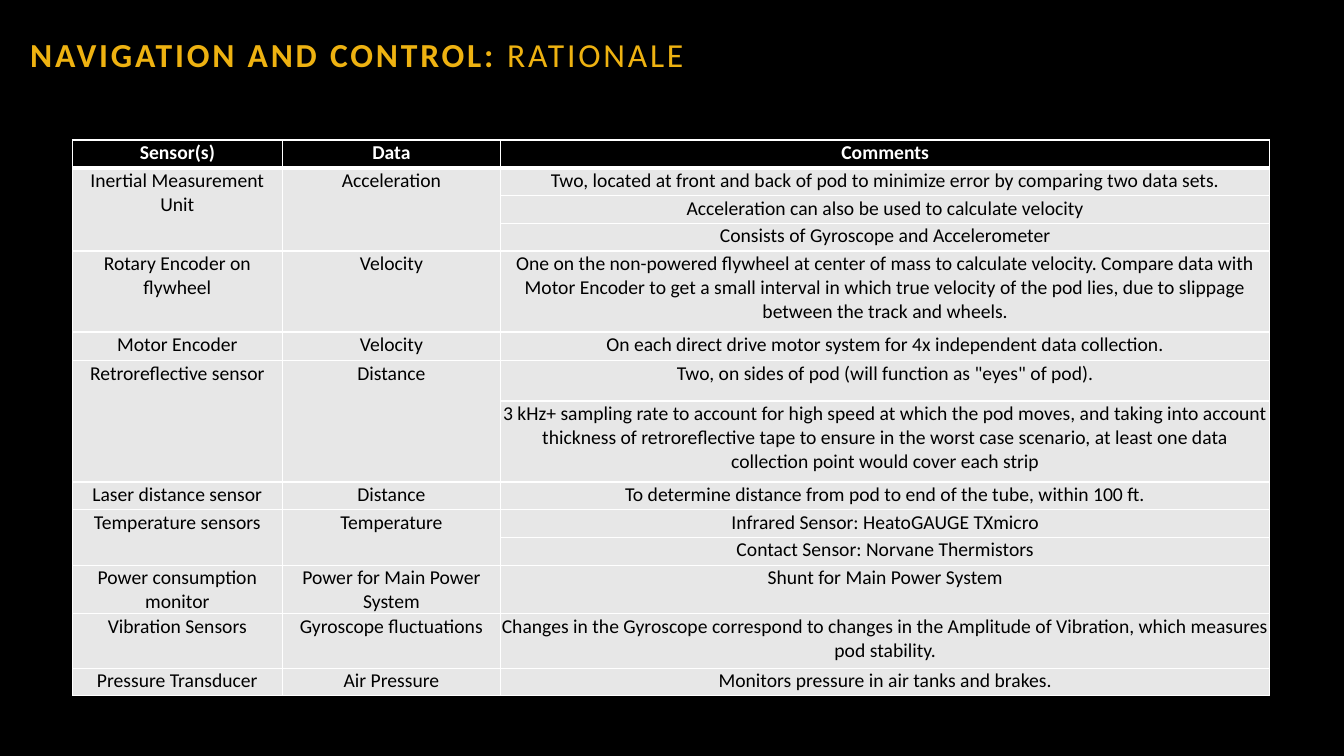
from lxml.etree import SubElement
from pptx import Presentation
from pptx.dml.color import RGBColor
from pptx.enum.text import MSO_ANCHOR, PP_ALIGN
from pptx.oxml.ns import qn
from pptx.util import Cm, Pt

BLACK = RGBColor(0x00, 0x00, 0x00)
WHITE = RGBColor(0xFF, 0xFF, 0xFF)
GOLD = RGBColor(0xEE, 0xB2, 0x11)
PALE_GREY = RGBColor(0xE7, 0xE7, 0xE7)
FONT = "Calibri"

TITLE = [("NAVIGATION AND CONTROL: ", True), ("RATIONALE", False)]
HEADINGS = ("Sensor(s)", "Data", "Comments")
LINE = 0.7
SENSORS = [
    ("Inertial Measurement Unit", "Acceleration", [
        ("Two, located at front and back of pod to minimize error by comparing two data sets.", LINE),
        ("Acceleration can also be used to calculate velocity", LINE),
        ("Consists of Gyroscope and Accelerometer", LINE)]),
    ("Rotary Encoder on flywheel", "Velocity", [
        ("One on the non-powered flywheel at center of mass to calculate velocity. "
         "Compare data with Motor Encoder to get a small interval in which true velocity "
         "of the pod lies, due to slippage between the track and wheels.", 2.04)]),
    ("Motor Encoder", "Velocity", [
        ("On each direct drive motor system for 4x independent data collection.", 0.72)]),
    ("Retroreflective sensor", "Distance", [
        ('Two, on sides of pod (will function as "eyes" of pod).', 1.02),
        ("3 kHz+ sampling rate to account for high speed at which the pod moves, and taking "
         "into account thickness of retroreflective tape to ensure in the worst case scenario, "
         "at least one data collection point would cover each strip", 2.04)]),
    ("Laser distance sensor", "Distance", [
        ("To determine distance from pod to end of the tube, within 100 ft.", LINE)]),
    ("Temperature sensors", "Temperature", [
        ("Infrared Sensor: HeatoGAUGE TXmicro", LINE),
        ("Contact Sensor: Norvane Thermistors", LINE)]),
    ("Power consumption monitor", "Power for Main Power System", [
        ("Shunt for Main Power System", 1.15)]),
    ("Vibration Sensors", "Gyroscope fluctuations", [
        ("Changes in the Gyroscope correspond to changes in the Amplitude of Vibration, "
         "which measures pod stability.", 1.37)]),
    ("Pressure Transducer", "Air Pressure", [
        ("Monitors pressure in air tanks and brakes.", LINE)]),
]
COLUMN_WIDTHS = (5.28, 5.51, 19.38)
TABLE_LEFT, TABLE_TOP = 1.83, 3.53


def add_borders(cell, bottom_width):
    properties = cell._tc.get_or_add_tcPr()
    for side, width in (("L", 1), ("R", 1), ("T", 1), ("B", bottom_width)):
        border = SubElement(properties, qn(f"a:ln{side}"), w=str(Pt(width)))
        fill = SubElement(border, qn("a:solidFill"))
        SubElement(fill, qn("a:srgbClr"), val=str(WHITE))


def write_cell(cell, text, is_heading):
    cell.text = text
    cell.margin_left = cell.margin_right = cell.margin_top = Cm(0.02)
    cell.margin_bottom = 0
    paragraph = cell.text_frame.paragraphs[0]
    paragraph.alignment = PP_ALIGN.CENTER
    paragraph.font.name = FONT
    paragraph.font.size = Pt(14)
    paragraph.font.bold = is_heading
    paragraph.font.color.rgb = WHITE if is_heading else BLACK


def add_title(slide):
    title = slide.shapes.title
    title.left, title.top, title.width, title.height = 0, 0, Cm(21.36), Cm(2.74)
    frame = title.text_frame
    frame.vertical_anchor = MSO_ANCHOR.MIDDLE
    frame.word_wrap = True
    frame.margin_left = Cm(0.76)
    paragraph = frame.paragraphs[0]
    paragraph.alignment = PP_ALIGN.LEFT
    paragraph.font.name = FONT
    paragraph.font.size = Pt(24)
    paragraph.font.color.rgb = GOLD
    for text, bold in TITLE:
        run = paragraph.add_run()
        run.text = text
        run.font.bold = bold
        run._r.get_or_add_rPr().set("spc", "200")


def add_sensor_table(slide):
    heights = [LINE] + [height for _, _, comments in SENSORS for _, height in comments]
    table = slide.shapes.add_table(
        len(heights), len(COLUMN_WIDTHS), Cm(TABLE_LEFT), Cm(TABLE_TOP),
        Cm(sum(COLUMN_WIDTHS)), Cm(sum(heights))).table
    for column, width in zip(table.columns, COLUMN_WIDTHS):
        column.width = Cm(width)
    for index, (row, height) in enumerate(zip(table.rows, heights)):
        row.height = Cm(height)
        for cell in row.cells:
            add_borders(cell, 1 if index else 3)
            cell.fill.solid()
            cell.fill.fore_color.rgb = PALE_GREY if index else BLACK

    for column, heading in enumerate(HEADINGS):
        write_cell(table.cell(0, column), heading, True)
    first = 1
    for sensor, data, comments in SENSORS:
        last = first + len(comments) - 1
        for column, text in enumerate((sensor, data)):
            if last > first:
                table.cell(first, column).merge(table.cell(last, column))
            write_cell(table.cell(first, column), text, False)
        for row, (comment, _) in enumerate(comments, first):
            write_cell(table.cell(row, 2), comment, False)
        first = last + 1


def main():
    deck = Presentation()
    deck.slide_width, deck.slide_height = Cm(33.87), Cm(19.05)
    slide = deck.slides.add_slide(deck.slide_layouts[5])
    slide.background.fill.solid()
    slide.background.fill.fore_color.rgb = BLACK
    add_title(slide)
    add_sensor_table(slide)
    deck.save("out.pptx")


if __name__ == "__main__":
    main()
